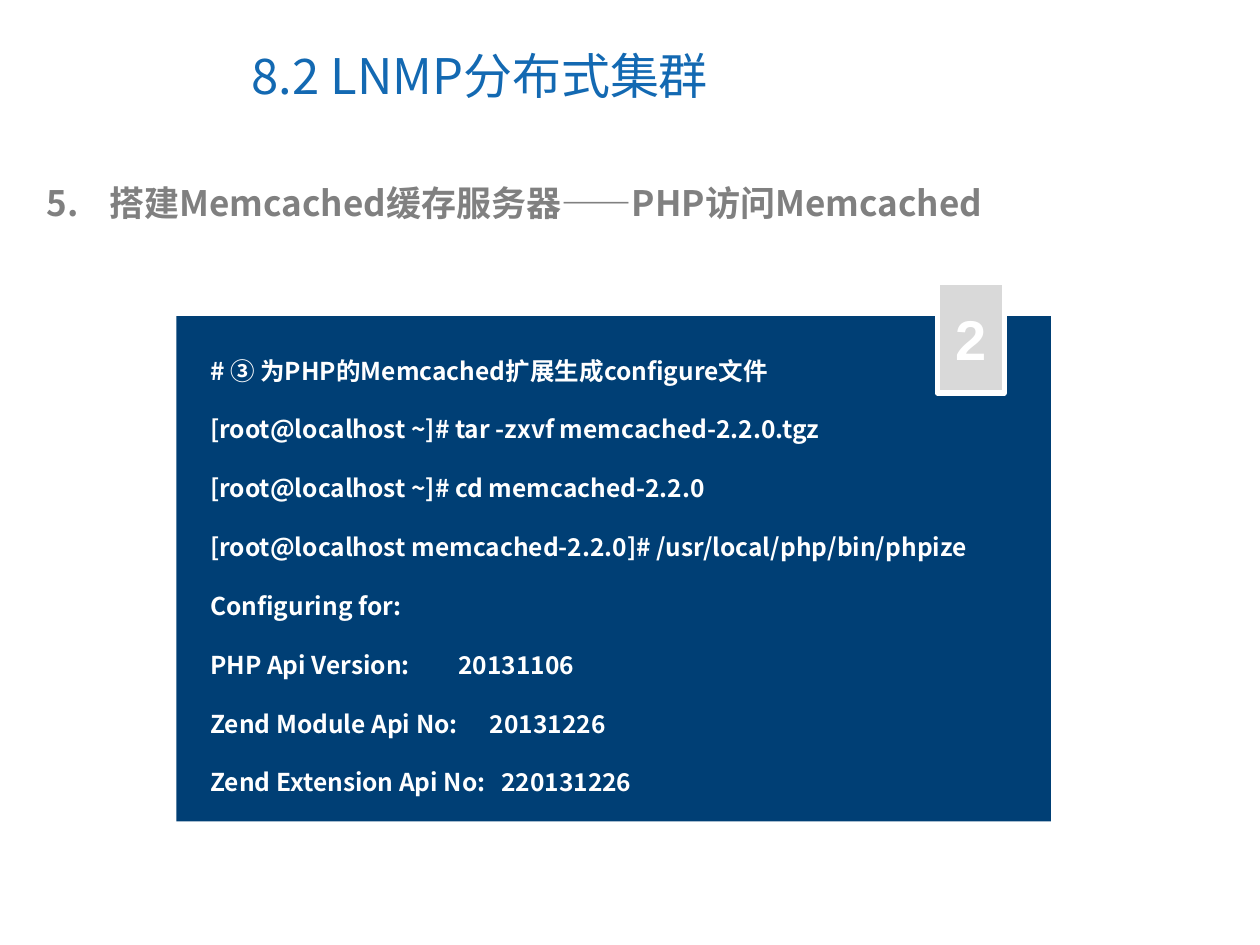
"""Build the slide on generating the PHP Memcached extension's configure file."""
from lxml import etree
from pptx import Presentation
from pptx.dml.color import RGBColor
from pptx.enum.shapes import MSO_SHAPE
from pptx.enum.text import MSO_ANCHOR, PP_ALIGN
from pptx.oxml.ns import qn
from pptx.util import Inches, Pt

RECTANGLE = MSO_SHAPE.RECTANGLE
MIDDLE = MSO_ANCHOR.MIDDLE
CENTER = PP_ALIGN.CENTER
TITLE_BLUE = RGBColor(0x13, 0x69, 0xB2)
HEADING_GRAY = RGBColor(0x80, 0x80, 0x80)
PANEL_BLUE = RGBColor(0x00, 0x3F, 0x75)
BADGE_GRAY = RGBColor(0xD9, 0xD9, 0xD9)
WHITE = RGBColor(0xFF, 0xFF, 0xFF)
CJK = "Noto Sans CJK SC"

CONSOLE_LINES = [
    ("# ③ 为PHP的Memcached扩展生成configure文件", None),
    ("[root@localhost ~]# tar -zxvf memcached-2.2.0.tgz", None),
    ("[root@localhost ~]# cd memcached-2.2.0", None),
    ("[root@localhost memcached-2.2.0]# /usr/local/php/bin/phpize", None),
    ("Configuring for:", None),
    ("PHP Api Version:\t20131106", 1.97),
    ("Zend Module Api No:\t20131226", 2.22),
    ("Zend Extension Api No:\t220131226", 2.31),
]


def add_text_frame(left, top, width, height):
    box = slide.shapes.add_textbox(Inches(left), Inches(top), Inches(width), Inches(height))
    box.text_frame.word_wrap = True
    return box.text_frame


def style(paragraph, size, color, bold=True, name=CJK):
    font = paragraph.font
    font.size = Pt(size)
    font.bold = bold
    font.color.rgb = color
    font.name = name
    defaults = paragraph._p.pPr.find(qn("a:defRPr"))
    etree.SubElement(defaults, qn("a:ea"), typeface=name)


prs = Presentation()
prs.slide_width = Inches(10)
prs.slide_height = Inches(7.5)
slide = prs.slides.add_slide(prs.slide_layouts[6])

title = add_text_frame(1.9, 0.17, 5.67, 0.85)
title.vertical_anchor = MIDDLE
title.text = "8.2 LNMP分布式集群"
style(title.paragraphs[0], 28, TITLE_BLUE, bold=False)

heading = add_text_frame(0.27, 1.39, 9.22, 0.44).paragraphs[0]
heading.text = "搭建Memcached缓存服务器——PHP访问Memcached"
numbering = heading._p.get_or_add_pPr()
numbering.set("marL", str(Inches(0.5)))
numbering.set("indent", str(Inches(-0.5)))
etree.SubElement(numbering, qn("a:buAutoNum"), type="arabicPeriod", startAt="5")
style(heading, 20, HEADING_GRAY)

panel = slide.shapes.add_shape(RECTANGLE, Inches(1.4), Inches(2.51), Inches(6.94), Inches(4.01))
panel.shadow.inherit = False
panel.fill.solid()
panel.fill.fore_color.rgb = PANEL_BLUE
panel.line.fill.background()

console = add_text_frame(1.57, 2.54, 6.76, 3.87)
for index, (line, value_stop) in enumerate(CONSOLE_LINES):
    paragraph = console.add_paragraph() if index else console.paragraphs[0]
    paragraph.text = line
    paragraph.line_spacing = 2.0
    if value_stop:
        tabs = etree.SubElement(paragraph._p.pPr, qn("a:tabLst"))
        etree.SubElement(tabs, qn("a:tab"), pos=str(Inches(value_stop)), algn="l")
    style(paragraph, 14, WHITE)

badge = slide.shapes.add_shape(RECTANGLE, Inches(7.44), Inches(2.24), Inches(0.53), Inches(0.88))
badge.shadow.inherit = False
badge.fill.solid()
badge.fill.fore_color.rgb = BADGE_GRAY
badge.line.color.rgb = WHITE
badge.line.width = Pt(3)
badge.text_frame.vertical_anchor = MIDDLE
step_number = badge.text_frame.paragraphs[0]
step_number.text = "2"
step_number.alignment = CENTER
style(step_number, 32, WHITE, name="Arial")

prs.save("out.pptx")
